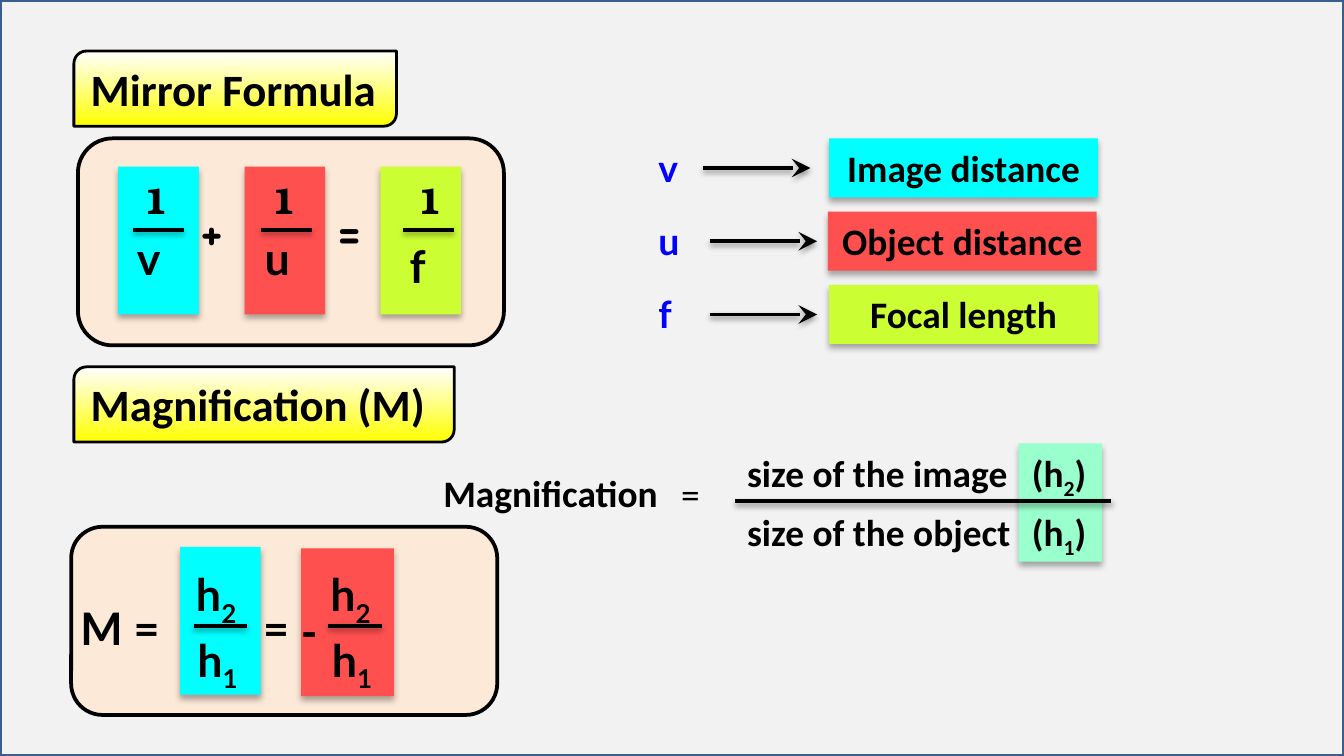
from lxml import etree
from pptx import Presentation, util as u
from pptx.dml.color import RGBColor
from pptx.enum import shapes, text
from pptx.oxml.ns import qn

WIDTH = 10
HEIGHT = WIDTH * 9 / 16
BLACK, BLUE, CYAN, RED, LIME, MINT = "000000", "0000FF", "00FFFF", "FF5050", "CCFF33", "99FFCC"
BLOCK_SHADOW = (32, 3.5, 2.2)
LINE_SHADOW = (38, 3.1, 1.6)
RECTANGLE = shapes.MSO_SHAPE.RECTANGLE
ROUNDED = shapes.MSO_SHAPE.ROUNDED_RECTANGLE
DIAGONAL = shapes.MSO_SHAPE.ROUND_2_DIAG_RECTANGLE

PANELS = [(0.53, 3.92, 3.17, 1.4), (0.58, 1.03, 3.17, 1.54)]
HEADINGS = [("Mirror Formula", 0.38, 2.4), ("Magnification (M)", 2.73, 2.83)]
MIRROR_TERMS = [
    ("v", CYAN, 0.88, 0.92, 1.67, 0.97, 0.99),
    ("u", RED, 1.82, 1.87, 1.67, 1.92, 1.94),
    ("f", LIME, 2.83, 2.95, 1.73, 3.01, 3.0),
]
MIRROR_SIGNS = [("+", 1.39), ("=", 2.41)]
LEGEND = [
    ("v", "Image distance", CYAN, 6.17, 5.23),
    ("u", "Object distance", RED, 6.16, 5.28),
    ("f", "Focal length", LIME, 6.17, 5.28),
]
LEGEND_TOP, LEGEND_BOTTOM, ROW_HEIGHT = 1.03, 2.12, 0.44
RATIO_ROWS = [("size of the image", "(h|2|)"), ("size of the object", "(h|1|)")]
RATIO_TOP = 3.3
HEIGHT_RATIOS = [(RED, 2.24, 4.08, 0.69, 2.36), (CYAN, 1.34, 4.07, 0.6, 1.36)]
HEIGHT_SIGNS = [("M =", 0.5, 4.42, 0.92), ("=", 1.86, 4.42, 0.42), ("-", 2.14, 4.44, 0.31)]

presentation = Presentation()
presentation.slide_width, presentation.slide_height = u.Inches(WIDTH), u.Inches(HEIGHT)
slide = presentation.slides.add_slide(presentation.slide_layouts[6])


def color(value):
    return RGBColor.from_string(value)


def inches(*values):
    return [u.Inches(value) for value in values]


def add_shadow(item, shadow):
    properties = item._element.spPr
    for old in properties.findall(qn("a:effectLst")):
        properties.remove(old)
    effects = etree.SubElement(properties, qn("a:effectLst"))
    if shadow:
        alpha, blur, distance = shadow
        outer = etree.SubElement(effects, qn("a:outerShdw"), blurRad=str(u.Pt(blur)),
                                 dist=str(u.Pt(distance)), dir="5400000", rotWithShape="0")
        tint = etree.SubElement(outer, qn("a:srgbClr"), val=BLACK)
        etree.SubElement(tint, qn("a:alpha"), val=str(alpha * 1000))


def write(shape, words, size=20, font="Calibri", ink=BLACK, bold=True, centered=False):
    frame = shape.text_frame
    frame.word_wrap = True
    frame.vertical_anchor = text.MSO_ANCHOR.TOP
    paragraph = frame.paragraphs[0]
    paragraph.alignment = text.PP_ALIGN.CENTER if centered else text.PP_ALIGN.LEFT
    for index, part in enumerate(words.split("|")):
        run = paragraph.add_run()
        run.text = part
        for name, value in {"size": u.Pt(size), "name": font, "bold": bold}.items():
            setattr(run.font, name, value)
        run.font.color.rgb = color(ink)
        if index % 2:
            run.font._element.set("baseline", "-25000")


def add_label(words, left, top, width, height=ROW_HEIGHT, **style):
    write(slide.shapes.add_textbox(*inches(left, top, width, height)), words, **style)


def add_box(kind, place, fill, line=None, weight=2, shadow=None):
    shape = slide.shapes.add_shape(kind, *inches(*place))
    if fill:
        shape.fill.solid()
        shape.fill.fore_color.rgb = color(fill)
    if line:
        shape.line.color.rgb = color(line)
        shape.line.width = u.Pt(weight)
    else:
        shape.line.fill.background()
    add_shadow(shape, shadow)
    return shape


def add_line(left, top, length, arrow=False):
    line = slide.shapes.add_connector(shapes.MSO_CONNECTOR.STRAIGHT,
                                      *inches(left, top, left + length, top))
    line.line.color.rgb = color(BLACK)
    line.line.width = u.Pt(2)
    if arrow:
        etree.SubElement(line.line._get_or_add_ln(), qn("a:tailEnd"),
                         type="stealth", w="lg", len="lg")
    add_shadow(line, LINE_SHADOW)


add_box(RECTANGLE, (0, 0, WIDTH, HEIGHT), "F2F2F2", "395E89")
for place in PANELS:
    add_box(ROUNDED, place, "FDE9D8", BLACK)

for symbol, fill, block, letter, letter_top, one, bar in MIRROR_TERMS:
    add_box(RECTANGLE, (block, 1.24, 0.6, 1.1), fill, shadow=BLOCK_SHADOW)
    add_label(symbol, letter, letter_top, 0.44, 0.5, size=24, font="Lato")
    add_label("1", one, 1.27, 0.39, font="TeX Gyre Bonum")
    add_line(bar, 1.71, 0.38)
for sign, left in MIRROR_SIGNS:
    add_label(sign, left, 1.42, 0.44, 0.57, size=28, font="Comic Neue")

legend_step = (LEGEND_BOTTOM - LEGEND_TOP) / (len(LEGEND) - 1)
for row, (symbol, meaning, fill, left, arrow) in enumerate(LEGEND):
    top = LEGEND_TOP + row * legend_step
    add_label(symbol, 4.8, top, 0.4, font="Lato", ink=BLUE)
    box = add_box(RECTANGLE, (left, top, 2, ROW_HEIGHT), fill, shadow=BLOCK_SHADOW)
    write(box, meaning, centered=True)
    add_line(arrow, top + ROW_HEIGHT / 2, 0.8, arrow=True)

for heading, top, width in HEADINGS:
    banner = add_box(DIAGONAL, (0.55, top, width, 0.56), None, BLACK, 1.5)
    banner.fill.gradient()
    banner.fill.gradient_angle = 90
    for stop, value in zip(banner.fill.gradient_stops, ("FFFF00", "FFFFFF")):
        stop.color.rgb = color(value)
    write(banner, heading, size=24)

add_label("Magnification", 3.2, 3.45, 1.81)
add_label("=", 4.97, 3.46, 0.35, bold=False)
for row, (words, symbol) in enumerate(RATIO_ROWS):
    top = RATIO_TOP + row * ROW_HEIGHT
    add_label(words, 5.46, top, 2.18)
    write(add_box(RECTANGLE, (7.58, top, 0.62, ROW_HEIGHT), MINT, shadow=BLOCK_SHADOW), symbol)
add_line(5.47, 3.73, 2.8)

for fill, left, top, width, letters in HEIGHT_RATIOS:
    add_box(RECTANGLE, (left, top, width, 1.1), fill, shadow=BLOCK_SHADOW)
    add_label("h|2", letters, 4.17, 0.55, 0.5, size=24, font="Lato")
    add_label("h|1", letters + 0.01, 4.66, 0.52, 0.5, size=24, font="Lato")
    add_line(letters + 0.08, 4.66, 0.4)
for sign, left, top, width in HEIGHT_SIGNS:
    add_label(sign, left, top, width, 0.5, size=24, font="Lato")

presentation.save("out.pptx")
